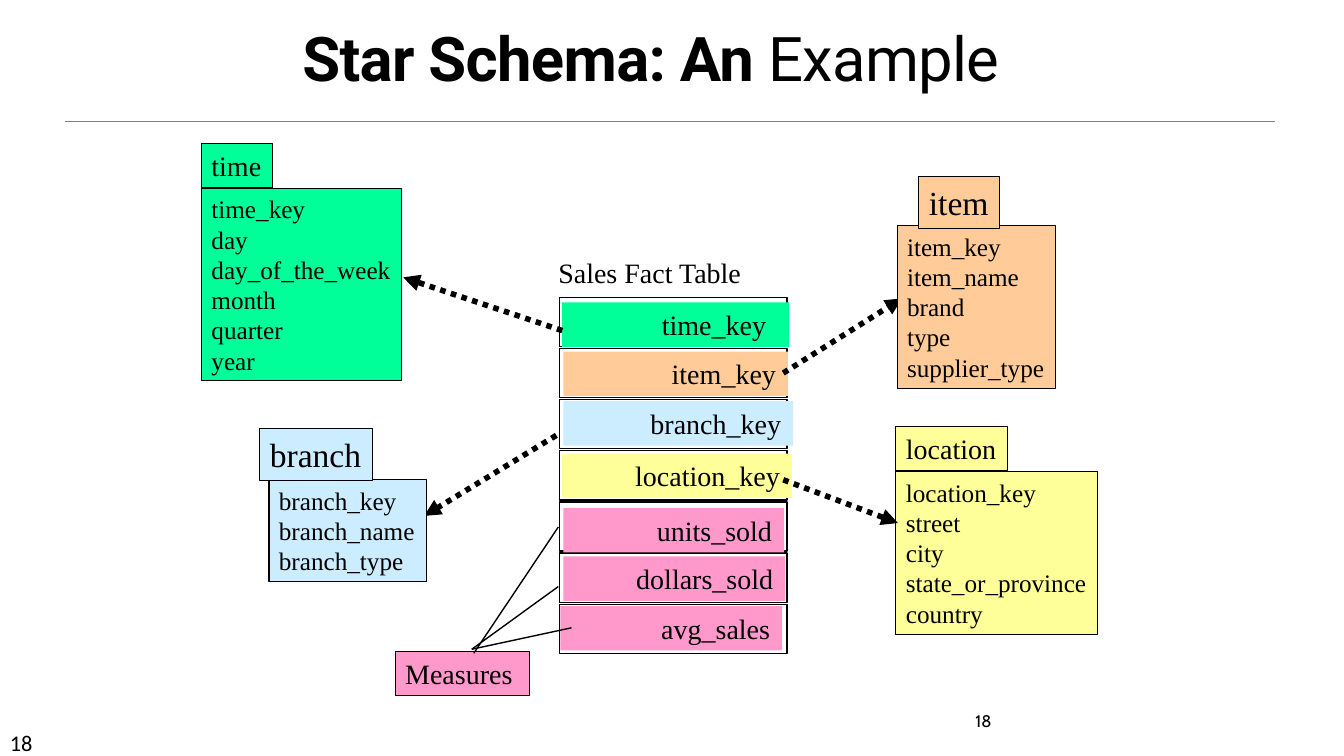
from lxml import etree
from pptx import Presentation
from pptx.dml.color import RGBColor
from pptx.enum.dml import MSO_LINE
from pptx.enum.shapes import MSO_CONNECTOR, MSO_SHAPE
from pptx.enum.text import MSO_ANCHOR, MSO_AUTO_SIZE, PP_ALIGN
from pptx.oxml.ns import qn
from pptx.util import Cm, Pt

RECTANGLE = MSO_SHAPE.RECTANGLE
STRAIGHT = MSO_CONNECTOR.STRAIGHT
DOTTED = MSO_LINE.ROUND_DOT
TOP, MIDDLE, BOTTOM = MSO_ANCHOR.TOP, MSO_ANCHOR.MIDDLE, MSO_ANCHOR.BOTTOM
LEFT, CENTER, RIGHT = PP_ALIGN.LEFT, PP_ALIGN.CENTER, PP_ALIGN.RIGHT
FIT, NO_FIT = MSO_AUTO_SIZE.SHAPE_TO_FIT_TEXT, MSO_AUTO_SIZE.NONE

COLORS = {
    "black": "000000", "gray": "808080", "time": "00FF99", "item": "FFCC99",
    "branch": "CCECFF", "location": "FFFF99", "measure": "FF99CC",
}
SERIF = "Times New Roman"

TITLE = [("Star Schema: An ", True), ("Example", False)]
TITLE_AREA = (5.61, 0.38, 21.59, 2.13)
RULE = (1.65, 3.05, 32.13, 3.05)
PAGE_NUMBERS = [
    ("18", (0, 18.24, 2.97, 0.76), 16, "Calibri"),
    ("18", (24.33, 17.78, 5.28, 1.27), 12, "Cabin"),
]

BACK_DIMENSIONS = [
    ("time", (5.08, 3.61, 1.78, 1.12), 20, (5.08, 4.75, 5.05, 4.85),
     ["time_key", "day", "day_of_the_week", "month", "quarter", "year"]),
    ("location", (22.58, 10.74, 2.82, 1.12), 20, (22.58, 11.89, 5.08, 4.09),
     ["location_key", "street", "city", "state_or_province", "country"]),
]
FRONT_DIMENSIONS = [
    ("item", (23.16, 4.45, 2.03, 1.3), 24, (22.61, 5.69, 3.99, 4.09),
     ["item_key", "item_name", "brand", "type", "supplier_type"]),
    ("branch", (6.55, 10.8, 2.84, 1.3), 24, (6.78, 12.09, 3.96, 2.57),
     ["branch_key", "branch_name", "branch_type"]),
]

FACT_LABEL = ("Sales Fact Table", (13.82, 6.32, 5.16, 1.12))
FACT_LEFT, FACT_TOP, SLOT_STEP = 14.1, 7.49, 1.29
SLOT_WIDTH, SLOT_HEIGHT, BAND_HEIGHT = 5.74, 1.24, 1.12
FACT_FIELDS = [
    ("time_key", "time", 14.17, 7.62, 5.72, 0.58),
    ("item_key", "item", 14.2, 8.86, 5.66, 0.3),
    ("branch_key", "branch", 14.2, 10.11, 5.79, 0.3),
    ("location_key", "location", 14.17, 11.43, 5.79, 0.3),
    ("units_sold", "measure", 14.2, 12.8, 5.56, 0.3),
    ("dollars_sold", "measure", 14.2, 14.02, 5.59, 0.3),
    ("avg_sales", "measure", 14.12, 15.27, 5.59, 0.3),
]

MEASURES = ("Measures", (9.96, 16.41, 3.38, 1.12))
MEASURE_LINES = [
    (11.94, 16.46, 14.07, 13.28),
    (11.89, 16.36, 14.07, 14.78),
    (11.89, 16.36, 14.4, 15.82),
]
KEY_ARROWS = [
    (14.02, 10.97, 10.69, 13),
    (14.17, 8.33, 10.16, 6.99),
    (19.74, 12.09, 22.63, 13.18),
    (19.74, 9.4, 22.73, 7.52),
]


def rgb(name):
    return RGBColor.from_string(COLORS[name])


def write(shape, lines, size, font=SERIF, align=LEFT, anchor=TOP, wrap=False, right=0.25):
    frame = shape.text_frame
    frame.word_wrap = wrap
    frame.auto_size = NO_FIT if wrap else FIT
    frame.vertical_anchor = anchor
    frame.margin_left, frame.margin_right = Cm(0.25), Cm(right)
    frame.margin_top = frame.margin_bottom = Cm(0.13)
    frame.text = "\n".join(lines)
    for para in frame.paragraphs:
        para.alignment = align
        para.font.size = Pt(size)
        para.font.name = font
        para.font.color.rgb = rgb("black")


def add_box(page, area, fill=None, outline=None):
    box = page.shapes.add_shape(RECTANGLE, *map(Cm, area))
    box.shadow.inherit = False
    if fill:
        box.fill.solid()
        box.fill.fore_color.rgb = rgb(fill)
    else:
        box.fill.background()
    if outline:
        box.line.color.rgb = rgb("black")
        box.line.width = Pt(outline)
    else:
        box.line.fill.background()
    return box


def add_label(page, text, area, size, font=SERIF, wrap=False):
    write(page.shapes.add_textbox(*map(Cm, area)), [text], size, font, wrap=wrap)


def add_line(page, ends, width, color="black", arrow=False):
    line = page.shapes.add_connector(STRAIGHT, *map(Cm, ends))
    line.line.color.rgb = rgb(color)
    line.line.width = Pt(width)
    if arrow:
        line.line.dash_style = DOTTED
        etree.SubElement(line.line._get_or_add_ln(), qn("a:tailEnd"), type="triangle")
    etree.SubElement(line._element.spPr, qn("a:effectLst"))


def add_title(page):
    title = page.shapes.title
    title.left, title.top, title.width, title.height = map(Cm, TITLE_AREA)
    write(title, [""], 44, "Roboto", CENTER, BOTTOM, wrap=True)
    para = title.text_frame.paragraphs[0]
    para.line_spacing = 0.85
    for text, bold in TITLE:
        span = para.add_run()
        span.text = text
        span.font.bold = bold
        span._r.get_or_add_rPr().set("spc", "-50")


def add_dimension(page, name, head_area, head_size, body_area, fields):
    write(add_box(page, body_area, name, 0.75), fields, 18)
    write(add_box(page, head_area, name, 0.75), [name], head_size, anchor=MIDDLE)


def add_fact_table(page):
    add_label(page, *FACT_LABEL, 20)
    for index in range(len(FACT_FIELDS)):
        top = FACT_TOP + index * SLOT_STEP
        add_box(page, (FACT_LEFT, top, SLOT_WIDTH, SLOT_HEIGHT), outline=1)
    for field, color, left, top, width, inset in FACT_FIELDS:
        band = add_box(page, (left, top, width, BAND_HEIGHT), color)
        write(band, [field], 20, align=RIGHT, wrap=True, right=inset)


def main():
    deck = Presentation()
    deck.slide_width, deck.slide_height = Cm(33.87), Cm(19.05)
    page = deck.slides.add_slide(deck.slide_layouts[5])
    add_title(page)
    add_line(page, RULE, 0.5, "gray")
    for text, area, size, font in PAGE_NUMBERS:
        add_label(page, text, area, size, font, wrap=True)
    for dimension in BACK_DIMENSIONS:
        add_dimension(page, *dimension)
    add_fact_table(page)
    text, area = MEASURES
    write(add_box(page, area, "measure", 0.75), [text], 20, wrap=True)
    for ends in MEASURE_LINES:
        add_line(page, ends, 1)
    for ends in KEY_ARROWS:
        add_line(page, ends, 4, arrow=True)
    for dimension in FRONT_DIMENSIONS:
        add_dimension(page, *dimension)
    deck.save("out.pptx")


if __name__ == "__main__":
    main()
